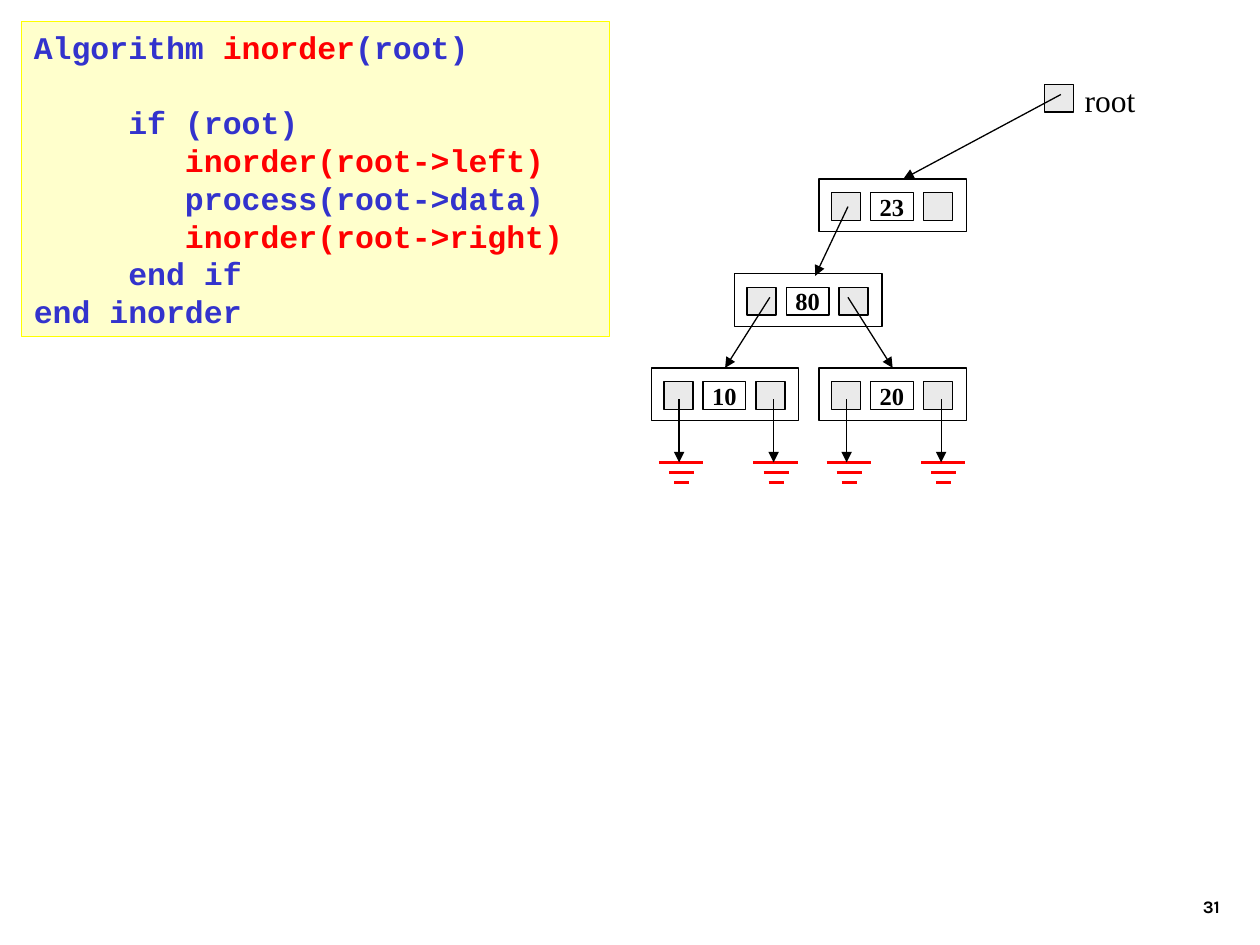
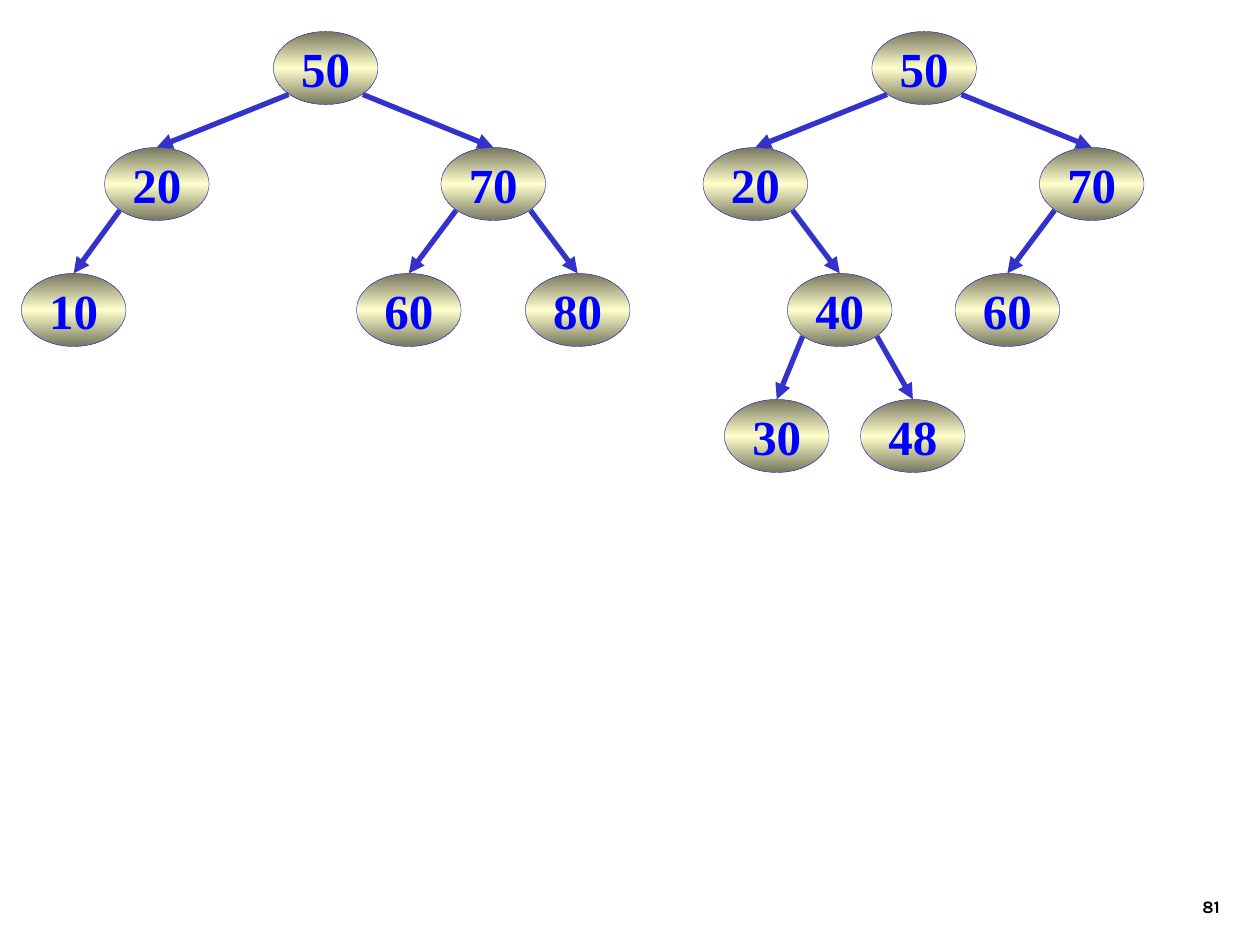
from pptx import Presentation
from pptx.dml.color import RGBColor
from pptx.enum import dml, shapes, text
from pptx.oxml import parse_xml
from pptx.oxml.ns import nsdecls, qn
from pptx.util import Inches, Pt

HUES = {
    "ink": "000000", "paper": "FFFFFF", "link": "EAEAEA", "red": "FF0000",
    "navy": "3333CC", "blue": "0000FF", "cream": "FFFFCC", "edge": "FFFF00",
    "olive": "76765E",
}
SERIF, MONO, SANS = "Times New Roman", "Courier New", "Karla"
LEFT, MID, RIGHT = text.PP_ALIGN.LEFT, text.PP_ALIGN.CENTER, text.PP_ALIGN.RIGHT
TOP, HALF, LOW = (text.MSO_ANCHOR.TOP, text.MSO_ANCHOR.MIDDLE,
                  text.MSO_ANCHOR.BOTTOM)
RECT, OVAL = shapes.MSO_SHAPE.RECTANGLE, shapes.MSO_SHAPE.OVAL
PITCH = 21.6               # code line height in points
OVAL_W, OVAL_H = 0.83, 0.58

# Code lines: each is a list of (words, colour)
CODE = [
    [("Algorithm ", "navy"), ("inorder", "red"), ("(root)", "navy")],
    [("     if (root)", "navy")],
    [("        inorder(root->left)", "red")],
    [("        process(root->data)", "navy")],
    [("        inorder(root->right)", "red")],
    [("     end if", "navy")],
    [("end inorder", "navy")],
]

# Search trees: key -> (left, top); links: (parent, child, side)
TREES = [
    ({"50": (2.17, 0.25), "20": (0.83, 1.17), "10": (0.17, 2.17),
      "70": (3.5, 1.17), "80": (4.17, 2.17), "60": (2.83, 2.17)},
     [("50", "20", "left"), ("50", "70", "right"), ("20", "10", "left"),
      ("70", "60", "left"), ("70", "80", "right")]),
    ({"50": (6.92, 0.25), "20": (5.58, 1.17), "40": (6.25, 2.17),
      "30": (5.75, 3.17), "70": (8.25, 1.17), "48": (6.83, 3.17),
      "60": (7.58, 2.17)},
     [("50", "20", "left"), ("50", "70", "right"), ("20", "40", "right"),
      ("70", "60", "left"), ("40", "30", "left"), ("40", "48", "right")]),
]


def rgb(name):
    return RGBColor.from_string(HUES[name])


def write(shape, lines, size=18, font=SERIF, hue="ink", bold=False,
          align=LEFT, anchor=TOP, wrap=False, pitch=None):
    """Fill a shape with text; lines is a string or a list of run lists."""
    frame = shape.text_frame
    frame.word_wrap, frame.vertical_anchor = wrap, anchor
    if isinstance(lines, str):
        lines = [[(lines, hue)]]
    for i, runs in enumerate(lines):
        para = frame.paragraphs[0] if i == 0 else frame.add_paragraph()
        para.alignment = align
        if pitch:
            para.line_spacing = Pt(pitch)
        for words, tint in runs:
            run = para.add_run()
            run.text = words
            run.font.size, run.font.name, run.font.bold = Pt(size), font, bold
            run.font.color.rgb = rgb(tint)
    return frame


def label(slide, box, words, **style):
    return write(slide.shapes.add_textbox(*map(Inches, box)), words, **style)


def block(slide, box, fill="paper", line="ink", width=0.75, kind=RECT):
    shape = slide.shapes.add_shape(kind, *map(Inches, box))
    shape.shadow.inherit = False
    shape.fill.solid()
    shape.fill.fore_color.rgb = rgb(fill)
    shape.line.color.rgb = rgb(line)
    shape.line.width = Pt(width)
    return shape


def stroke(slide, start, end, hue="ink", width=0.75, head=False, goal=None):
    """Straight line; goal is a shape whose top middle takes the end."""
    line = slide.shapes.add_connector(
        shapes.MSO_CONNECTOR.STRAIGHT, *map(Inches, (*start, *end)))
    line.line.color.rgb = rgb(hue)
    line.line.width = Pt(width)
    if head:
        line.line._get_or_add_ln().append(
            parse_xml(f'<a:tailEnd {nsdecls("a")} type="triangle"/>'))
    line._element.spPr.append(parse_xml(f'<a:effectLst {nsdecls("a")}/>'))
    if goal is not None:
        line.end_connect(goal, 0)
    return line


def cell(slide, x, y, key):
    """Linked node: frame, two link boxes and the key between them."""
    frame = block(slide, (x, y, 1.17, 0.42))
    for dx in (0.1, 0.83):
        block(slide, (x + dx, y + 0.11, 0.23, 0.22), fill="link")
    write(block(slide, (x + 0.41, y + 0.11, 0.34, 0.22)), key,
          size=14, bold=True, align=MID, anchor=HALF)
    return frame


def ground(slide, x, y):
    """Null link: arrow down to three shrinking bars."""
    for i, (dx, span) in enumerate([(0.16, 0.35), (0.08, 0.2), (0.04, 0.12)]):
        bar = y + 0.5 + 0.08 * i
        stroke(slide, (x - dx, bar), (x - dx + span, bar), hue="red", width=2)
    stroke(slide, (x, y), (x, y + 0.5), head=True)


def shade(shape):
    """Vertical olive - cream - olive gradient."""
    shape.fill.gradient()
    shape.fill.gradient_angle = 90
    stops = shape._element.spPr.find(qn("a:gradFill")).find(qn("a:gsLst"))
    for stop in list(stops):
        stops.remove(stop)
    for spot, hue in ((0, "olive"), (50, "cream"), (100, "olive")):
        stops.append(parse_xml(
            f'<a:gs {nsdecls("a")} pos="{spot * 1000}">'
            f'<a:srgbClr val="{HUES[hue]}"/></a:gs>'))


def tree(slide, spots, links):
    nodes = {}
    for key, (x, y) in spots.items():
        node = block(slide, (x, y, OVAL_W, OVAL_H), line="navy",
                     width=0.25, kind=OVAL)
        shade(node)
        write(node, key, size=28, hue="blue", bold=True,
              align=MID, anchor=HALF)
        nodes[key] = node
    for parent, child, side in links:
        x, y = spots[parent]
        dx = 0.12 if side == "left" else OVAL_W - 0.12
        a, b = spots[child]
        stroke(slide, (x + dx, y + 0.5), (a + OVAL_W / 2, b), hue="navy",
               width=3, head=True, goal=nodes[child])


def page(deck, number):
    slide = deck.slides.add_slide(deck.slide_layouts[6])
    slide.background.fill.solid()
    slide.background.fill.fore_color.rgb = rgb("paper")
    label(slide, (7.7, 6.83, 2.08, 0.5), number, size=10, font=SANS,
          bold=True, align=RIGHT, anchor=LOW, wrap=True)
    return slide


def walk(deck):
    slide = page(deck, "31")
    # Root pointer and linked nodes
    label(slide, (8.51, 0.59, 0.6, 0.4), "root")
    block(slide, (8.29, 0.67, 0.23, 0.22), fill="link")
    ten = cell(slide, 5.17, 2.92, "10")
    cell(slide, 5.83, 2.17, "80")
    cell(slide, 6.5, 1.42, "23")
    twenty = cell(slide, 6.5, 2.92, "20")
    # Links between nodes
    stroke(slide, (8.42, 0.75), (7.17, 1.42), head=True)
    stroke(slide, (6.73, 1.64), (6.47, 2.19), head=True)
    stroke(slide, (6.11, 2.36), (5.75, 2.92), head=True, goal=ten)
    stroke(slide, (6.73, 2.36), (7.09, 2.92), head=True, goal=twenty)
    # Null links of the leaves
    for x in (5.17, 6.5):
        for dx in (0.22, 0.97):
            ground(slide, x + dx, 3.17)
    # Code, with a one-line gap below its heading
    panel = block(slide, (0.17, 0.17, 4.67, 2.5), fill="cream", line="edge")
    frame = write(panel, CODE, font=MONO, bold=True, wrap=True, pitch=PITCH)
    frame.paragraphs[1].space_before = Pt(PITCH)


def pair(deck):
    slide = page(deck, "81")
    for spots, links in TREES:
        tree(slide, spots, links)


def main():
    deck = Presentation()
    deck.slide_width, deck.slide_height = Inches(10), Inches(7.5)
    walk(deck)
    pair(deck)
    deck.save("out.pptx")


if __name__ == "__main__":
    main()
